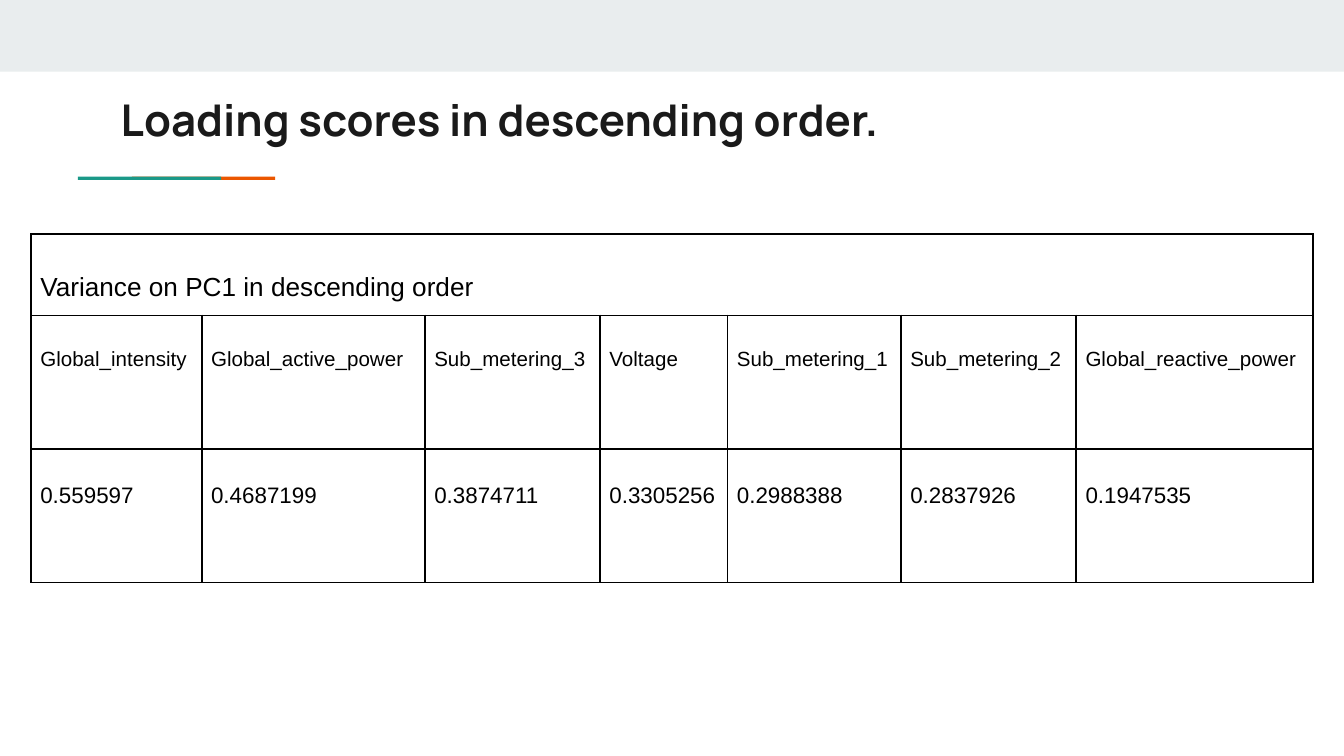
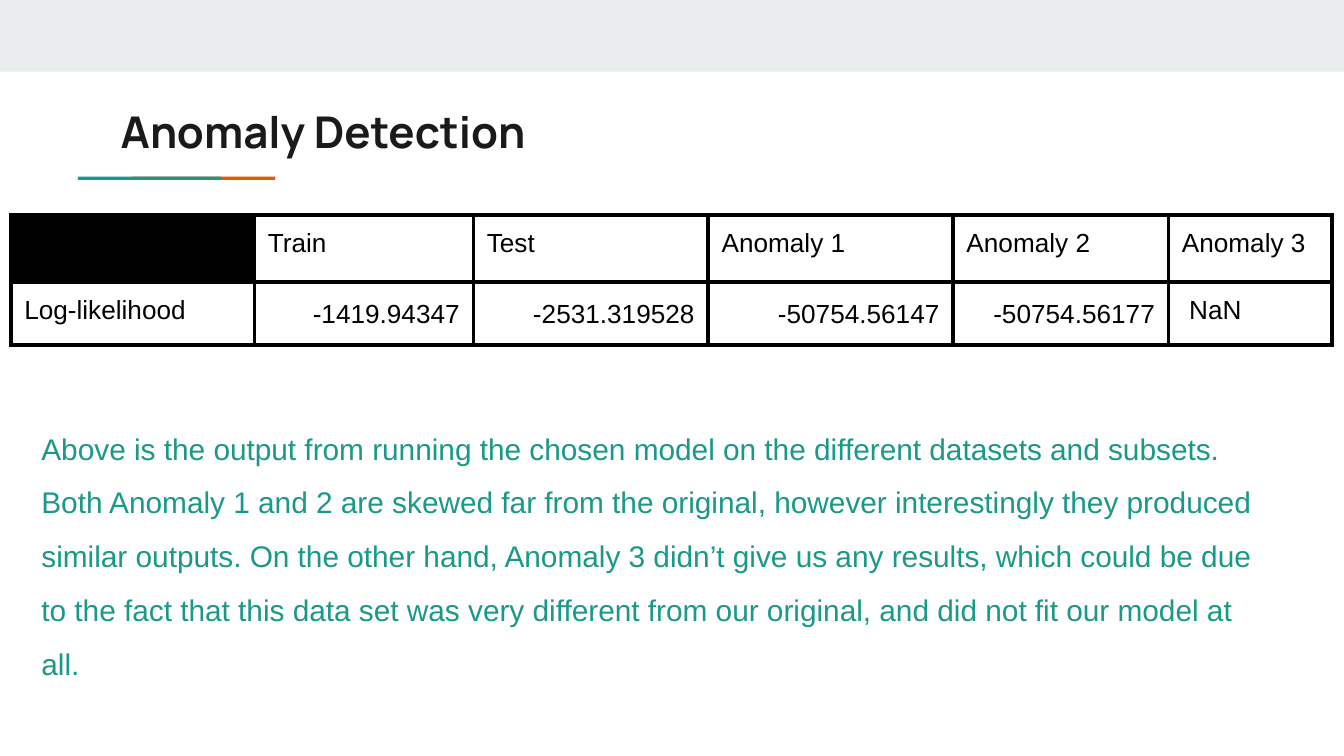
from dataclasses import dataclass

from lxml import etree
from pptx import Presentation
from pptx.dml.color import RGBColor
from pptx.enum.shapes import MSO_SHAPE
from pptx.enum.text import MSO_ANCHOR, PP_ALIGN
from pptx.oxml.ns import qn
from pptx.util import Pt

RECTANGLE = MSO_SHAPE.RECTANGLE
TOP = MSO_ANCHOR.TOP
LEFT, RIGHT = PP_ALIGN.LEFT, PP_ALIGN.RIGHT


@dataclass(frozen=True)
class Theme:
    band: str = "E9EDEE"
    teal: str = "1A9988"
    orange: str = "EB5600"
    title: str = "1A1A1A"
    black: str = "000000"
    title_font: str = "Manrope"
    body_font: str = "Arial"
    title_size: float = 23.4
    body_size: float = 16
    table_size: float = 14
    name_size: float = 11
    score_size: float = 12


THEME = Theme()
PAGE_WIDTH, PAGE_HEIGHT = 720, 405
INSET = 7.2

# Content
LOADING_TITLE = "Loading scores in descending order."
LOADING_CAPTION = "Variance on PC1 in descending order"
LOADINGS = [  # variable, score, column width
    ("Global_intensity", "0.559597", 91.5),
    ("Global_active_power", "0.4687199", 119.6),
    ("Sub_metering_3", "0.3874711", 93.8),
    ("Voltage", "0.3305256", 68.3),
    ("Sub_metering_1", "0.2988388", 92.9),
    ("Sub_metering_2", "0.2837926", 93.9),
    ("Global_reactive_power", "0.1947535", 126.8),
]

ANOMALY_TITLE = "Anomaly Detection"
LIKELIHOODS = [  # dataset, log-likelihood, column width, value alignment
    ("", "Log-likelihood", 130.5, LEFT),
    ("Train", "-1419.94347", 117.3, RIGHT),
    ("Test", "-2531.319528", 125.8, RIGHT),
    ("Anomaly 1", "-50754.56147", 131.2, RIGHT),
    ("Anomaly 2", "-50754.56177", 115.4, RIGHT),
    ("Anomaly 3", " NaN", 87.8, LEFT),
]
FINDINGS = [
    "Above is the output from running the chosen model on the different "
    "datasets and subsets.",
    "Both Anomaly 1 and 2 are skewed far from the original, however "
    "interestingly they produced similar outputs. On the other hand, Anomaly 3 "
    "didn’t give us any results, which could be due to the fact that this data "
    "set was very different from our original, and did not fit our model at all.",
]


def add_bar(page, left, top, width, height, color):
    bar = page.shapes.add_shape(RECTANGLE, Pt(left), Pt(top), Pt(width), Pt(height))
    bar.shadow.inherit = False
    bar.fill.solid()
    bar.fill.fore_color.rgb = RGBColor.from_string(color)
    bar.line.fill.background()


def style(para, size, color, font=THEME.body_font, bold=False):
    para.font.name = font
    para.font.size = Pt(size)
    para.font.bold = bold
    para.font.color.rgb = RGBColor.from_string(color)


def add_text(page, left, top, width, height):
    box = page.shapes.add_textbox(Pt(left), Pt(top), Pt(width), Pt(height))
    frame = box.text_frame
    frame.word_wrap = True
    frame.vertical_anchor = TOP
    frame.margin_left = frame.margin_right = Pt(INSET)
    frame.margin_top = frame.margin_bottom = Pt(INSET)
    return frame


def add_page(deck, title, title_top):
    """Page with the top band, the two-colour rule and a title."""
    page = deck.slides.add_slide(deck.slide_layouts[6])
    add_bar(page, 0, 0, PAGE_WIDTH, 38.4, THEME.band)
    for left, color in ((70.7, THEME.orange), (41.8, THEME.teal)):
        add_bar(page, left, 94.7, 76.7, 1.7, color)
    para = add_text(page, 57.6, title_top, 605.5, 42.5).paragraphs[0]
    para.text = title
    style(para, THEME.title_size, THEME.title, THEME.title_font, True)
    return page


def set_borders(cell, width):
    properties = cell._tc.get_or_add_tcPr()
    for position, side in enumerate(("lnL", "lnR", "lnT", "lnB")):
        line = etree.Element(qn(f"a:{side}"), w=str(Pt(width)))
        fill = etree.SubElement(line, qn("a:solidFill"))
        etree.SubElement(fill, qn("a:srgbClr"), val=THEME.black)
        properties.insert(position, line)


def add_grid(page, left, top, widths, heights, border, margin):
    """Empty unfilled table with black borders on every cell."""
    frame = page.shapes.add_table(len(heights), len(widths), Pt(left), Pt(top),
                                  Pt(sum(widths)), Pt(sum(heights)))
    table = frame.table
    table.first_row = table.horz_banding = False
    for column, width in zip(table.columns, widths):
        column.width = Pt(width)
    for row, height in zip(table.rows, heights):
        row.height = Pt(height)
    for cell in table.iter_cells():
        cell.fill.background()
        cell.vertical_anchor = TOP
        cell.margin_left = cell.margin_right = Pt(margin)
        cell.margin_top = cell.margin_bottom = Pt(margin)
        set_borders(cell, border)
    return table


def write_cell(cell, text, size, align=LEFT, spacing=1.0, before=0):
    para = cell.text_frame.paragraphs[0]
    para.text = text
    para.alignment = align
    para.line_spacing = spacing
    para.space_before = Pt(before)
    style(para, size, THEME.black)


def add_loading_page(deck):
    page = add_page(deck, LOADING_TITLE, 42.5)
    widths = [width for _, _, width in LOADINGS]
    table = add_grid(page, 16.6, 125.4, widths, (43.4, 71.5, 71.5), 1, 5)
    table.cell(0, 0).merge(table.cell(0, len(widths) - 1))
    write_cell(table.cell(0, 0), LOADING_CAPTION, THEME.table_size, LEFT, 2.0, 12)
    for column, (name, score, _) in enumerate(LOADINGS):
        write_cell(table.cell(1, column), name, THEME.name_size, LEFT, 2.0, 12)
        write_cell(table.cell(2, column), score, THEME.score_size, LEFT, 2.0, 12)


def add_anomaly_page(deck):
    page = add_page(deck, ANOMALY_TITLE, 49)
    widths = [width for _, _, width, _ in LIKELIHOODS]
    table = add_grid(page, 5.8, 115.2, widths, (34.8, 32.2), 2.25, INSET)
    for column, (dataset, value, _, align) in enumerate(LIKELIHOODS):
        header = table.cell(0, column)
        if dataset:
            write_cell(header, dataset, THEME.table_size)
        else:
            header.fill.solid()
            header.fill.fore_color.rgb = RGBColor.from_string(THEME.black)
        spacing = 1.15 if align == RIGHT else 1.0
        write_cell(table.cell(1, column), value, THEME.table_size, align, spacing)

    # Findings below the table
    frame = add_text(page, 15.1, 213.8, 668.2, 150.5)
    for index, finding in enumerate(FINDINGS):
        para = frame.add_paragraph() if index else frame.paragraphs[0]
        para.text = finding
        para.line_spacing = 1.5
        style(para, THEME.body_size, THEME.teal)


def main():
    deck = Presentation()
    deck.slide_width, deck.slide_height = Pt(PAGE_WIDTH), Pt(PAGE_HEIGHT)
    add_loading_page(deck)
    add_anomaly_page(deck)
    deck.save("out.pptx")


if __name__ == "__main__":
    main()
